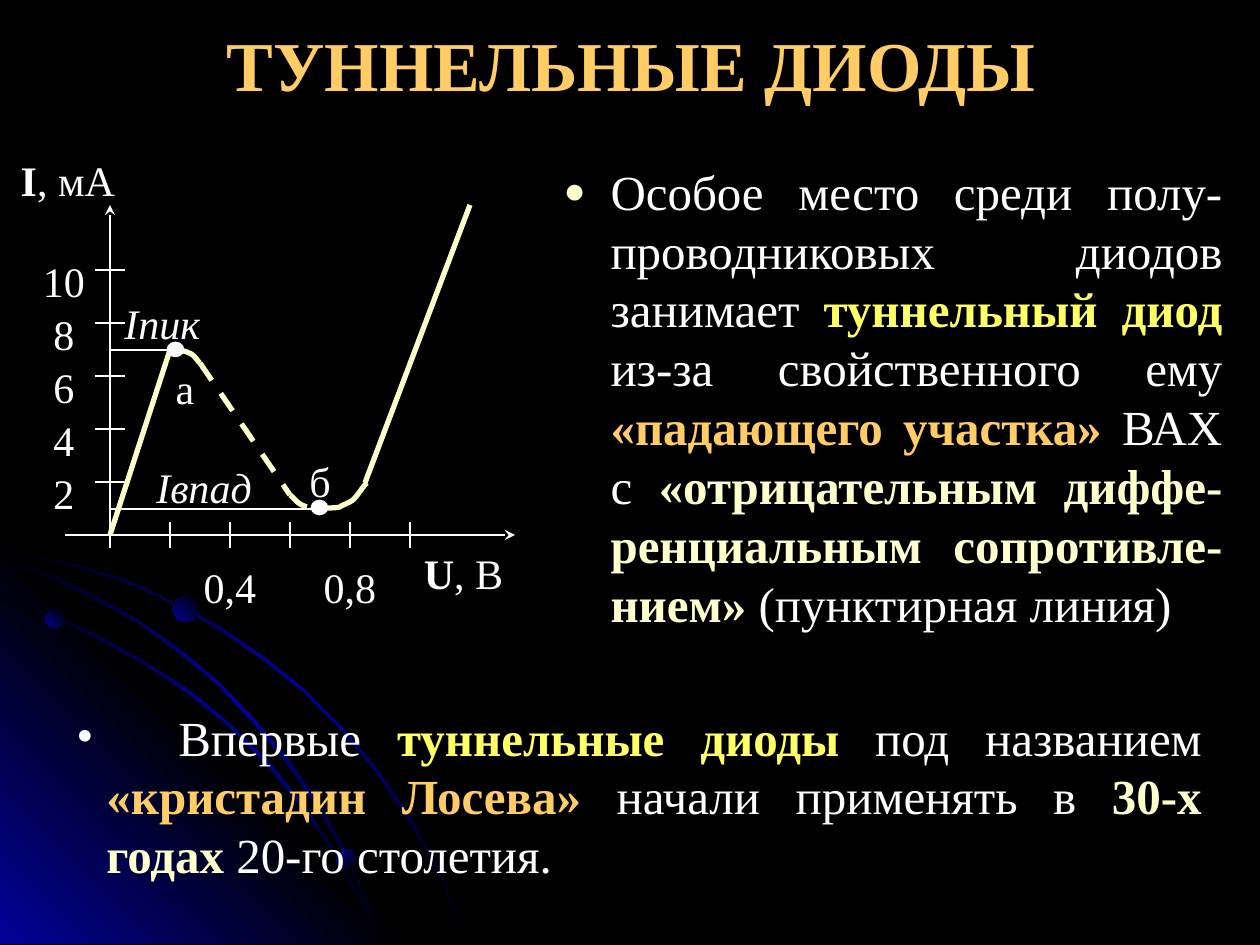
from copy import deepcopy
from lxml import etree
from pptx import Presentation, util as u
from pptx.dml.color import RGBColor
from pptx.enum import dml, shapes, text
from pptx.oxml import ns

INK = {"black": "000000", "blue": "010199", "white": "FFFFFF",
       "cream": "FFFFCC", "gold": "FFCC66", "yellow": "FFFF66"}
FONT = "Times New Roman"
LEFT, MID, RIGHT, FULL = (text.PP_ALIGN.LEFT, text.PP_ALIGN.CENTER,
                          text.PP_ALIGN.RIGHT, text.PP_ALIGN.JUSTIFY)
ORIGIN = (110, 535)
STEP = (60, 53)
ARCS = [
    [(72, 563), (35, 556), (0, 548), (0, 552), (35, 558), (71, 566), (122, 581),
     (170, 602), (218, 629), (262, 659), (304, 692), (341, 730), (375, 771),
     (407, 818), (425, 848), (441, 879), (454, 911), (466, 944), (469, 944),
     (456, 911), (444, 879), (427, 848), (410, 816), (378, 770), (343, 728),
     (305, 690), (263, 656), (219, 626), (171, 601), (123, 578)],
    [(359, 900), (370, 922), (379, 944), (382, 944), (373, 920), (360, 897),
     (335, 852), (305, 806), (271, 764), (232, 726), (192, 692), (147, 663),
     (100, 636), (52, 615), (0, 599), (0, 601), (49, 617), (97, 639),
     (145, 665), (189, 694), (231, 728), (268, 766), (302, 808), (334, 853)],
    [(0, 557), (0, 559), (45, 576), (93, 599), (137, 622), (179, 653),
     (218, 685), (255, 725), (286, 762), (318, 808), (336, 840), (353, 874),
     (368, 910), (379, 944), (382, 944), (370, 907), (355, 873), (339, 838),
     (320, 805), (289, 760), (257, 722), (221, 684), (181, 650), (140, 621),
     (96, 596), (49, 573)],
]


def px(*vals):
    return [u.Emu(round(v * 914400 / 126)) for v in vals]


def rgb(name):
    return RGBColor.from_string(INK[name])


def sub(parent, tag, **attrs):
    return etree.SubElement(parent, ns.qn(tag), attrs)


def blend(shape, names, angle):
    shape.shadow.inherit = False
    shape.line.fill.background()
    shape.fill.gradient()
    shape.fill.gradient_angle = angle
    stops = shape._element.spPr.xpath(".//a:gs")
    if len(names) == 3:
        mid = deepcopy(stops[0])
        stops[0].addnext(mid)
    for i, (stop, name) in enumerate(zip(shape.fill.gradient_stops, names)):
        stop.color.rgb = rgb(name)
        stop.position = i / (len(names) - 1)


def outline(slide, points, close):
    spots = [px(*p) for p in points]
    pen = slide.shapes.build_freeform(*spots[0])
    pen.add_line_segments(spots[1:], close=close)
    return pen.convert_to_shape()


def oval(slide, x, y, w, h):
    return slide.shapes.add_shape(shapes.MSO_SHAPE.OVAL, *px(x, y, w, h))


def stroke(line, name, width, dash):
    line.color.rgb = rgb(name)
    line.width = u.Pt(width)
    if dash:
        line.dash_style = dml.MSO_LINE.DASH


def rule(slide, start, end, name="white", width=0.75, dash=False, arrow=False):
    line = slide.shapes.add_connector(shapes.MSO_CONNECTOR.STRAIGHT, *px(*start, *end))
    stroke(line.line, name, width, dash)
    if arrow:
        sub(line.line._get_or_add_ln(), "a:tailEnd", type="stealth")
    sub(line._element.spPr, "a:effectLst")


def curve(slide, points, dash=False):
    path = [points[0]]
    for i in range(0, len(points) - 1, 3):
        a, b, c, d = points[i:i + 4]
        for t in (k / 8 for k in range(1, 9)):
            s = 1 - t
            path.append(tuple(s**3 * e + 3 * s * s * t * f + 3 * s * t * t * g + t**3 * h
                              for e, f, g, h in zip(a, b, c, d)))
    shape = outline(slide, path, False)
    shape.shadow.inherit = False
    shape.fill.background()
    stroke(shape.line, "cream", 3, dash)


def write(frame, runs, size, align):
    frame.word_wrap = True
    para = frame.paragraphs[0]
    para.alignment = align
    para.font.size = u.Pt(size)
    para.font.name = FONT
    for words, name, bold in runs:
        run = para.add_run()
        run.text = words
        run.font.color.rgb = rgb(name)
        run.font.bold = bold
    return para


def label(slide, box, *runs, align=MID, italic=False):
    frame = slide.shapes.add_textbox(*px(*box)).text_frame
    frame.margin_left = frame.margin_right = frame.margin_top = frame.margin_bottom = 0
    para = write(frame, [(words, "white", bold) for words, bold in runs], 24, align)
    para.font.italic = italic


def bullet(para, sign, hang, name, size, tab=None):
    props = para._p.get_or_add_pPr()
    for key, val in zip(("marL", "indent"), px(hang, -hang)):
        props.set(key, str(val))
    items = [("a:buClr", {}), ("a:buSzPct", {"val": str(size * 1000)}),
             ("a:buFont", {"typeface": FONT}), ("a:buChar", {"char": sign})]
    made = [etree.Element(ns.qn(tag), attrs) for tag, attrs in items]
    sub(made[0], "a:srgbClr", val=INK[name])
    if tab:
        stops = etree.Element(ns.qn("a:tabLst"))
        sub(stops, "a:tab", pos=str(px(tab)[0]), algn="l")
        made.append(stops)
    for i, item in enumerate(made):
        props.insert(len(props) - (props.find(ns.qn("a:defRPr")) is not None), item)


def place(shape, box):
    shape.left, shape.top, shape.width, shape.height = px(*box)
    shape.text_frame.auto_size = text.MSO_AUTO_SIZE.NONE
    return shape.text_frame


def backdrop(slide):
    fill = slide.background.fill
    fill.solid()
    fill.fore_color.rgb = rgb("black")
    corner = outline(slide, [(406, 944), (0, 944), (0, 538)], True)
    blend(corner, ("blue", "black", "blue"), 45)
    for arc in ARCS:
        blend(outline(slide, arc, True), ("black", "blue", "black"), 315)
    for x, y, size, angle in ((45, 609, 19, 45), (336, 849, 20, 315), (173, 596, 26, 45)):
        blend(oval(slide, x, y, size, size), ("blue", "black"), angle)


def axes(slide):
    left, base = ORIGIN
    rule(slide, (left, 548), (left, 205), arrow=True)
    rule(slide, (65, base), (515, base), arrow=True)
    for i in range(1, 6):
        x, y = left + i * STEP[0], base - i * STEP[1]
        rule(slide, (x, 522), (x, 548))
        rule(slide, (95, y), (125, y))
        label(slide, (34, y - 14, 60, 39), (str(2 * i), False))
        if i in (2, 4):
            label(slide, (x - 30, 562, 60, 39), (f"0,{2 * i}", False))
    label(slide, (0, 155, 115, 53), ("I", True), (", мА", False), align=RIGHT)
    label(slide, (411, 548, 105, 40), ("U", True), (", В", False))


def graph(slide):
    peak, dip = (170, 350), (320, 509)
    rule(slide, (110, 509), dip)
    rule(slide, (110, 350), peak)
    curve(slide, [(290, 495), (292, 496), (297, 503), (302, 505),
                  (307, 508), (316, 508), dip], True)
    curve(slide, [(200, 363), (198, 362), (194, 354), (189, 353),
                  (184, 350), (174, 350), peak], True)
    curve(slide, [dip, (321, 509), (325, 508), (328, 508), (331, 508), (336, 508),
                  (340, 507), (344, 504), (350, 503), (354, 499), (358, 495),
                  (364, 485), (367, 483)])
    rule(slide, (365, 483), (470, 205), "cream", 3)
    rule(slide, ORIGIN, peak, "cream", 3)
    rule(slide, (200, 363), (290, 495), "cream", 3, True)
    for x, y in ((168, 343), (312, 501)):
        dot = oval(slide, x, y, 15, 13)
        dot.shadow.inherit = False
        dot.fill.solid()
        dot.fill.fore_color.rgb = rgb("white")
        stroke(dot.line, "white", 1.5, False)
    label(slide, (110, 298, 90, 40), ("Iпик", False), align=RIGHT, italic=True)
    label(slide, (144, 462, 120, 40), ("Iвпад", False), italic=True)
    label(slide, (155, 363, 60, 39), ("а", False))
    label(slide, (290, 456, 60, 39), ("б", False))


def main():
    deck = Presentation()
    deck.slide_width, deck.slide_height = u.Inches(10), u.Inches(7.5)
    slide = deck.slides.add_slide(deck.slide_layouts[1])
    backdrop(slide)
    title, body = slide.placeholders
    frame = place(title, (64, 0, 1134, 127))
    frame.vertical_anchor = text.MSO_ANCHOR.MIDDLE
    write(frame, [("ТУННЕЛЬНЫЕ ДИОДЫ", "gold", True)], 40, MID)
    para = write(place(body, (551, 155, 684, 507)), [
        ("Особое место среди полу-проводниковых диодов занимает ", "white", False),
        ("туннельный диод", "yellow", True),
        (" из-за свойственного ему ", "white", False),
        ("«падающего участка»", "gold", True),
        (" ВАХ с ", "white", False),
        ("«отрицательным диффе-ренциальным сопротивле-нием»", "cream", True),
        (" (пунктирная линия)", "white", False)], 28, FULL)
    bullet(para, "●", 47, "cream", 75)
    axes(slide)
    graph(slide)
    note = slide.shapes.add_textbox(*px(64, 701, 1150, 189)).text_frame
    para = write(note, [
        ("\tВпервые ", "white", False), ("туннельные диоды", "yellow", True),
        (" под названием ", "white", False), ("«кристадин Лосева»", "gold", True),
        (" начали применять в ", "white", False), ("30-х годах", "cream", True),
        (" 20-го столетия.", "white", False)], 28, FULL)
    bullet(para, "•", 30, "white", 100, 102)
    deck.save("out.pptx")


main()
